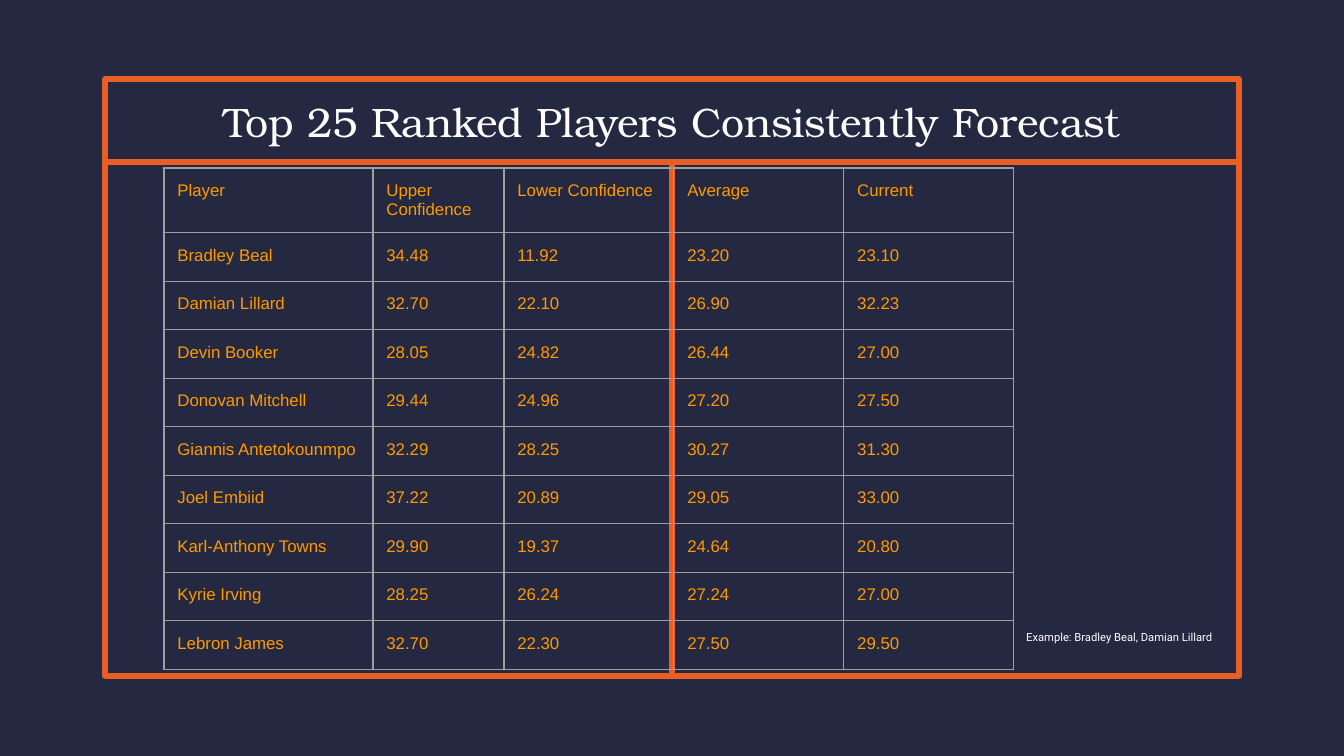
from lxml.etree import SubElement
from pptx import Presentation
from pptx.dml.color import RGBColor
from pptx.enum.shapes import MSO_CONNECTOR, MSO_SHAPE
from pptx.enum.text import MSO_ANCHOR, MSO_AUTO_SIZE, PP_ALIGN
from pptx.oxml.ns import qn
from pptx.util import Emu, Inches, Pt

EMU_PER_PX = 914400 / 134.4

NAVY, ORANGE, AMBER = "242841", "E95E24", "FF9900"
GREY, WHITE = "9E9E9E", "FFFFFF"

FRAME_LEFT, FRAME_TOP, FRAME_WIDTH, FRAME_HEIGHT = 105, 79, 1134, 597
RULE_Y = 162

COLUMN_WIDTHS = [209, 131, 170, 170, 170]
HEADER_HEIGHT, BODY_HEIGHT = 64, 437

ROWS = [
    ["Player", "Upper Confidence", "Lower Confidence", "Average", "Current"],
    ["Bradley Beal", "34.48", "11.92", "23.20", "23.10"],
    ["Damian Lillard", "32.70", "22.10", "26.90", "32.23"],
    ["Devin Booker", "28.05", "24.82", "26.44", "27.00"],
    ["Donovan Mitchell", "29.44", "24.96", "27.20", "27.50"],
    ["Giannis Antetokounmpo", "32.29", "28.25", "30.27", "31.30"],
    ["Joel Embiid", "37.22", "20.89", "29.05", "33.00"],
    ["Karl-Anthony Towns", "29.90", "19.37", "24.64", "20.80"],
    ["Kyrie Irving", "28.25", "26.24", "27.24", "27.00"],
    ["Lebron James", "32.70", "22.30", "27.50", "29.50"],
]


def px(length):
    return Emu(round(length * EMU_PER_PX))


def color(hex_string):
    return RGBColor.from_string(hex_string)


def set_text(frame, text, font_name, size, hex_string):
    frame.text = text
    font = frame.paragraphs[0].runs[0].font
    font.name, font.size, font.bold = font_name, Pt(size), False
    font.color.rgb = color(hex_string)


def set_margins(target):
    target.margin_left = target.margin_right = Inches(0.1)
    target.margin_top = target.margin_bottom = Inches(0.1)


def style_line(line):
    line.color.rgb = color(ORANGE)
    line.width = Pt(3)


def add_frame(slide):
    frame = slide.shapes.add_shape(
        MSO_SHAPE.RECTANGLE,
        px(FRAME_LEFT), px(FRAME_TOP), px(FRAME_WIDTH), px(FRAME_HEIGHT))
    frame.shadow.inherit = False
    frame.fill.background()
    style_line(frame.line)
    # Rounded corners on the outline
    SubElement(frame.line._get_or_add_ln(), qn("a:round"))
    return frame


def add_rule(slide, x1, y1, x2, y2):
    rule = slide.shapes.add_connector(
        MSO_CONNECTOR.STRAIGHT, px(x1), px(y1), px(x2), px(y2))
    style_line(rule.line)
    SubElement(rule._element.spPr, qn("a:effectLst"))
    return rule


def format_title(slide, text):
    title = slide.shapes.title
    title.left, title.top = px(FRAME_LEFT), px(FRAME_TOP)
    title.width, title.height = px(FRAME_WIDTH), px(RULE_Y + 2 - FRAME_TOP)
    frame = title.text_frame
    set_text(frame, text, "TeX Gyre Bonum", 22, WHITE)
    set_margins(frame)
    frame.auto_size = MSO_AUTO_SIZE.NONE
    frame.vertical_anchor = MSO_ANCHOR.MIDDLE
    frame.paragraphs[0].alignment = PP_ALIGN.CENTER


def add_borders(cell):
    properties = cell._tc.get_or_add_tcPr()
    for side in ("a:lnL", "a:lnR", "a:lnT", "a:lnB"):
        border = SubElement(properties, qn(side), w=str(Pt(0.75)))
        fill = SubElement(border, qn("a:solidFill"))
        SubElement(fill, qn("a:srgbClr"), val=GREY)


def add_player_table(slide, left, top):
    table = slide.shapes.add_table(
        len(ROWS), len(COLUMN_WIDTHS), px(left), px(top),
        px(sum(COLUMN_WIDTHS)), px(HEADER_HEIGHT + BODY_HEIGHT)).table
    table.first_row = table.horz_banding = False
    for column, width in zip(table.columns, COLUMN_WIDTHS):
        column.width = px(width)
    for index, (row, values) in enumerate(zip(table.rows, ROWS)):
        row.height = px(BODY_HEIGHT / (len(ROWS) - 1) if index else HEADER_HEIGHT)
        for cell, value in zip(row.cells, values):
            set_text(cell.text_frame, value, "Arial", 9, AMBER)
            set_margins(cell)
            add_borders(cell)
            cell.fill.background()


def add_note(slide, text, left, top, width, height):
    box = slide.shapes.add_textbox(px(left), px(top), px(width), px(height))
    frame = box.text_frame
    frame.word_wrap = True
    set_text(frame, text, "Roboto", 6, WHITE)
    set_margins(frame)
    frame.auto_size = MSO_AUTO_SIZE.SHAPE_TO_FIT_TEXT


def main():
    deck = Presentation()
    deck.slide_width, deck.slide_height = px(1344), px(756)
    slide = deck.slides.add_slide(deck.slide_layouts[5])
    slide.background.fill.solid()
    slide.background.fill.fore_color.rgb = color(NAVY)

    # Frame with its title rule and centre divider
    frame = add_frame(slide)
    add_rule(slide, FRAME_LEFT, RULE_Y, FRAME_LEFT + FRAME_WIDTH, RULE_Y)
    center = FRAME_LEFT + FRAME_WIDTH // 2
    divider = add_rule(slide, center, FRAME_TOP + FRAME_HEIGHT, center, RULE_Y + 2)
    divider.begin_connect(frame, 2)

    # Title, forecasts and note
    format_title(slide, "Top 25 Ranked Players Consistently Forecast")
    add_player_table(slide, 164, 168)
    add_note(slide, "Example: Bradley Beal, Damian Lillard", 1013, 624, 222, 40)

    deck.save("out.pptx")


if __name__ == "__main__":
    main()
